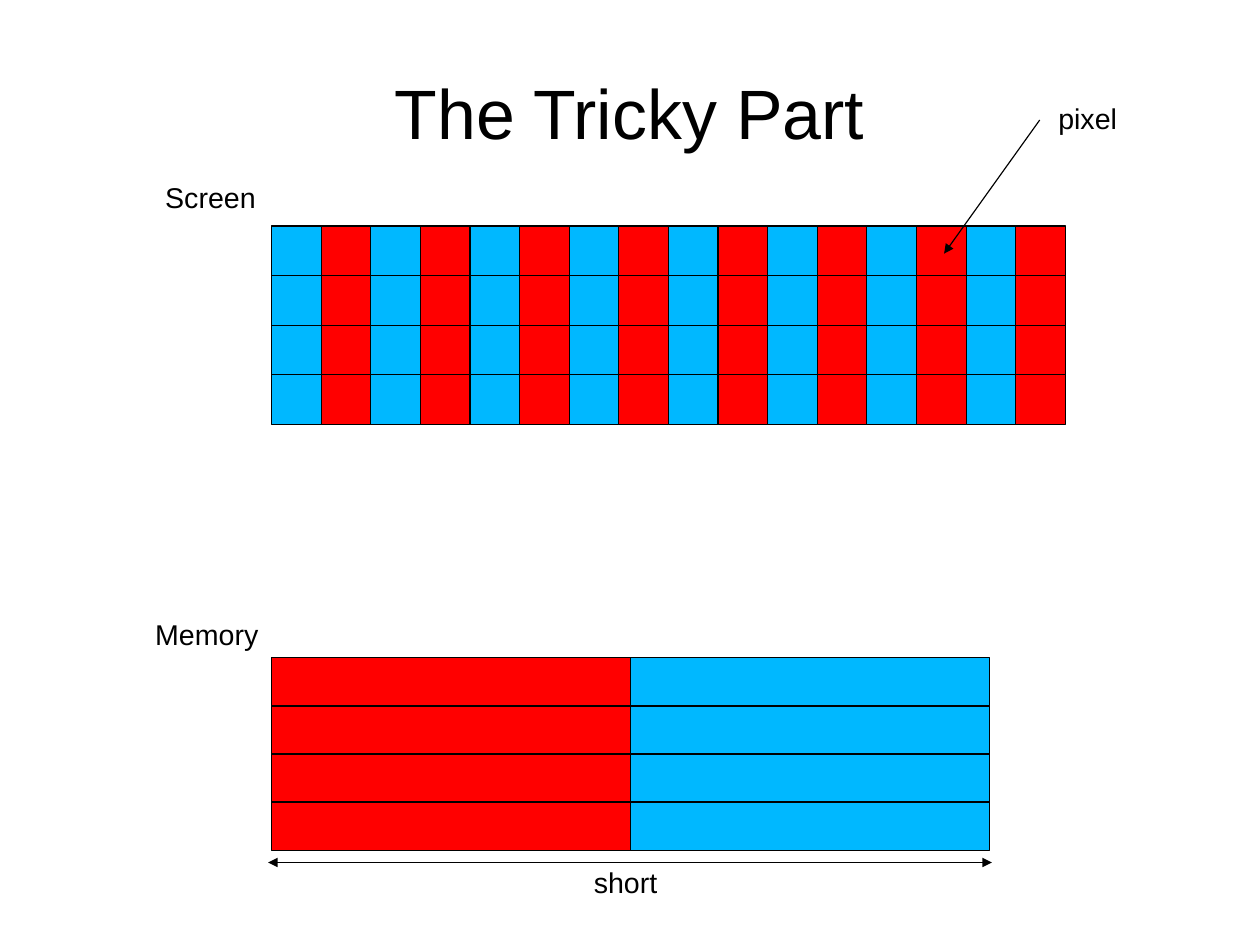
from itertools import product

from lxml.etree import SubElement
from pptx import Presentation
from pptx.dml.color import RGBColor
from pptx.enum.shapes import MSO_CONNECTOR as Connector, MSO_SHAPE as Shape
from pptx.enum.text import MSO_ANCHOR as Anchor, MSO_AUTO_SIZE as AutoSize, PP_ALIGN as Align
from pptx.oxml.ns import qn
from pptx.util import Mm, Pt

COLORS = {"red": "FF0000", "blue": "00B8FF", "black": "000000"}
BLACK = RGBColor.from_string(COLORS["black"])

deck = Presentation()
deck.slide_width, deck.slide_height = Mm(280), Mm(210)
page = deck.slides.add_slide(deck.slide_layouts[6])


def share(x, y):
    """Turn percentages of the slide's width and height into lengths."""
    return round(deck.slide_width * x / 100), round(deck.slide_height * y / 100)


def add_text(text, left, top, width, height, size):
    box = page.shapes.add_textbox(*share(left, top), *share(width, height))
    box.text_frame.text = text
    para = box.text_frame.paragraphs[0]
    para.line_spacing = 0.93
    font = para.runs[0].font
    font.name, font.size, font.color.rgb = "Arial", Pt(size), BLACK
    return box.text_frame


# Title
title = add_text("The Tricky Part", 5, 3.95, 90, 16.7, 44)
title.word_wrap = True
title.vertical_anchor = Anchor.MIDDLE
title.margin_left = title.margin_right = title.margin_top = title.margin_bottom = 0
title.paragraphs[0].alignment = Align.CENTER

# Screen and memory grids: top, width, height, columns, alternating colours
ROWS = 4
GRID_LEFT = 21.55
grids = [
    (23.92, 63, 21, 16, ("blue", "red")),
    (69.62, 57, 20.35, 2, ("red", "blue")),
]
for top, width, height, columns, fills in grids:
    cell_width, cell_height = width / columns, height / ROWS
    for row, column in product(range(ROWS), range(columns)):
        corner = share(GRID_LEFT + column * cell_width, top + row * cell_height)
        cell = page.shapes.add_shape(
            Shape.RECTANGLE, *corner, *share(cell_width, cell_height))
        cell.shadow.inherit = False
        cell.fill.solid()
        cell.fill.fore_color.rgb = RGBColor.from_string(COLORS[fills[column % 2]])
        cell.line.color.rgb = BLACK
        cell.line.width = Pt(0.75)

# Labels
LABEL_HEIGHT = 4.6
labels = [
    ("Screen", 12.22, 18.74, 9),
    ("Memory", 11.43, 65.05, 10),
    ("short", 46.24, 91.27, 6.9),
    ("pixel", 83.1, 10.4, 6.5),
]
for text, left, top, width in labels:
    label = add_text(text, left, top, width, LABEL_HEIGHT, 18)
    label.word_wrap = False
    label.auto_size = AutoSize.SHAPE_TO_FIT_TEXT

# Arrows: the width of a short, and the pointer to one pixel
arrows = [
    ((21.28, 91.27), (78.72, 91.27), ("headEnd", "tailEnd")),
    ((82.52, 12.7), (74.93, 26.84), ("tailEnd",)),
]
for start, end, tips in arrows:
    arrow = page.shapes.add_connector(Connector.STRAIGHT, *share(*start), *share(*end))
    arrow.line.color.rgb = BLACK
    arrow.line.width = Pt(0.75)
    properties = arrow._element.spPr
    for tip in tips:
        SubElement(properties.find(qn("a:ln")), qn(f"a:{tip}"), type="triangle")
    SubElement(properties, qn("a:effectLst"))

deck.save("out.pptx")
